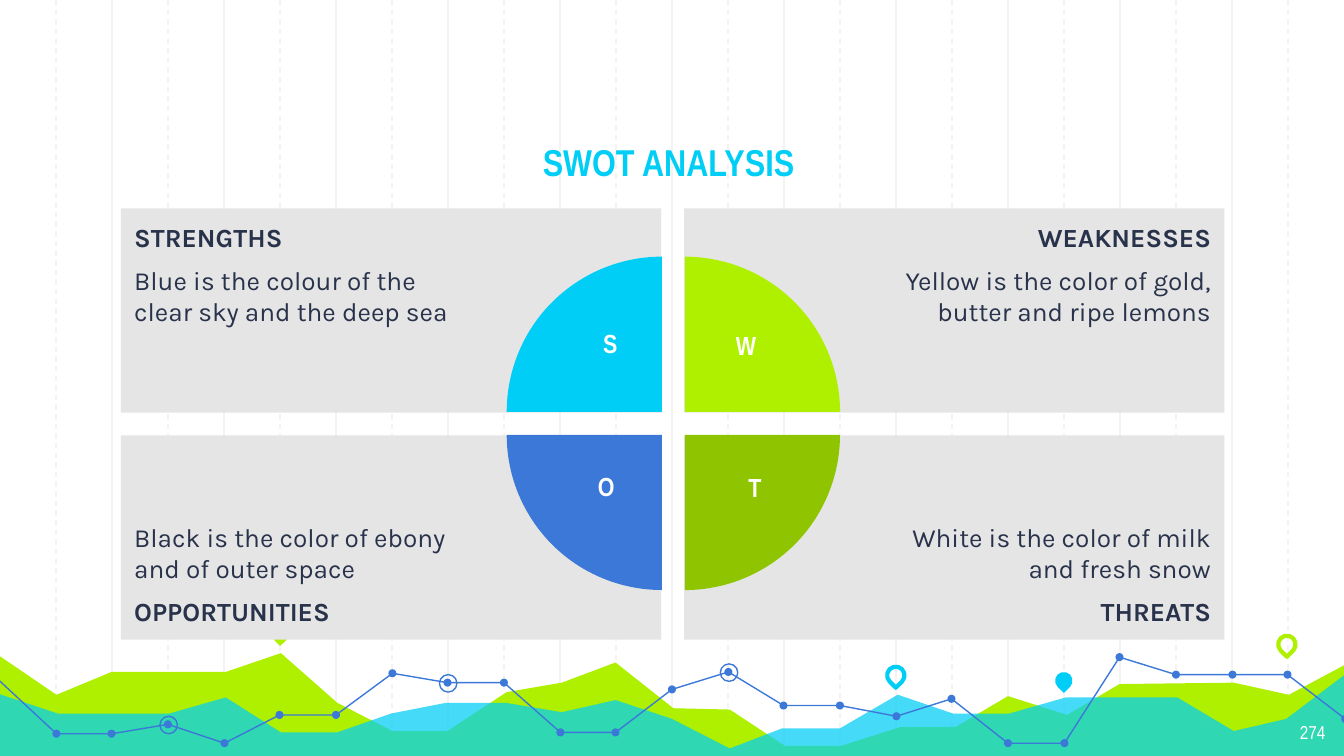
from lxml import etree
from pptx import Presentation
from pptx import util as u
from pptx.dml.color import RGBColor
from pptx.enum import dml, shapes, text
from pptx.oxml.ns import qn

theme = dict(cyan="00CEF6", lime="AFF000", olive="8EC400", blue="3C78D8", panel="E5E5E5",
             grid="F3F3F3", ink="28324A", white="FFFFFF", head="Arial Narrow", body="Karla",
             title=20, copy=14, page=10)
wide = 10
high = wide * 9 / 16

title = "SWOT ANALYSIS"
page = "274"
panels = [
    (0, 0, ["STRENGTHS", "Blue is the colour of the clear sky and the deep sea"]),
    (1, 0, ["WEAKNESSES", "Yellow is the color of gold, butter and ripe lemons"]),
    (0, 1, ["Black is the color of ebony and of outer space", "OPPORTUNITIES"]),
    (1, 1, ["White is the color of milk and fresh snow", "THREATS"]),
]
pies = [(0, 0, 0, "cyan"), (1, 0, 90, "lime"), (1, 1, 180, "olive"), (0, 1, 270, "blue")]
letters = [("S", 4.39, 2.39, 0.26), ("W", 5.36, 2.4, 0.38),
           ("O", 4.35, 3.45, 0.29), ("T", 5.47, 3.46, 0.25)]

back = [(-0.02, 4.87), (0.42, 5.17), (0.83, 5), (1.68, 5), (2.09, 4.86), (2.51, 5.23),
        (2.92, 5.44), (3.33, 5.44), (3.77, 5.15), (4.18, 5.08), (4.58, 4.93), (5.01, 5.27),
        (5.43, 5.28), (5.84, 5.55), (6.26, 5.55), (6.7, 5.41), (7.11, 5.41), (7.5, 5.18),
        (7.94, 5.32), (8.33, 5.09), (9.18, 5.08), (9.59, 5.17), (10.02, 4.94)]
front = [(-0.02, 5.16), (0.43, 5.31), (1.26, 5.31), (1.68, 5.19), (2.09, 5.45), (2.51, 5.45),
         (2.91, 5.31), (3.32, 5.23), (3.76, 5.23), (4.18, 5.3), (4.58, 5.21), (5, 5.35),
         (5.43, 5.57), (5.82, 5.42), (6.25, 5.42), (6.68, 5.17), (7.09, 5.31), (7.51, 5.31),
         (7.93, 5.19), (8.76, 5.19), (9.18, 5.44), (9.57, 5.35), (10.02, 5.01)]
trace = [(-0.01, 5.06), (0.42, 5.46), (0.83, 5.46), (1.25, 5.39), (1.67, 5.53), (2.08, 5.32),
         (2.5, 5.32), (2.92, 5.01), (3.33, 5.08), (3.75, 5.08), (4.17, 5.45), (4.58, 5.45),
         (5, 5.13), (5.42, 5), (5.83, 5.25), (6.25, 5.25), (6.67, 5.33), (7.08, 5.2),
         (7.5, 5.53), (7.92, 5.53), (8.33, 4.89), (8.75, 5.02), (9.17, 5.02), (9.58, 5.02),
         (10.01, 5.35)]
parts = [(0, 11), (11, 20), (20, 24)]
rings = [8, 3, 13]
pins = [(2.02, 4.65, "lime", True), (6.6, 4.96, "cyan", False),
        (7.85, 5, "cyan", True), (9.51, 4.73, "lime", False)]

deck = Presentation()
deck.slide_width, deck.slide_height = u.Inches(wide), u.Inches(high)
slide = deck.slides.add_slide(deck.slide_layouts[6])
kit = slide.shapes
form = shapes.MSO_SHAPE
side = text.PP_ALIGN
edge = text.MSO_ANCHOR


def tint(name):
    return RGBColor.from_string(theme[name])


def paint(shape, fill=None, line=None, width=0.75):
    shape.shadow.inherit = False
    if fill:
        shape.fill.solid()
        shape.fill.fore_color.rgb = tint(fill)
    else:
        shape.fill.background()
    if line:
        shape.line.color.rgb = tint(line)
        shape.line.width = u.Pt(width)
    else:
        shape.line.fill.background()
    return shape


def place(kind, x, y, w, h, **look):
    return paint(kit.add_shape(kind, *map(u.Inches, (x, y, w, h))), **look)


def trail(points, close, **look):
    spots = [(u.Inches(x), u.Inches(y)) for x, y in points]
    pen = kit.build_freeform(*spots[0])
    pen.add_line_segments(spots[1:], close=close)
    return paint(pen.convert_to_shape(), **look)


def style(para, align, face, size, color, bold):
    para.alignment = align
    for run in para.runs:
        font = run.font
        font.name, font.size, font.bold = theme[face], u.Pt(theme[size]), bold
        font.color.rgb = tint(color)


def pad(frame, left, top, right, low):
    frame.margin_left, frame.margin_top = u.Inches(left), u.Inches(top)
    frame.margin_right, frame.margin_bottom = u.Inches(right), u.Inches(low)


def label(words, x, y, w, h, align, size, color, bold):
    frame = kit.add_textbox(*map(u.Inches, (x, y, w, h))).text_frame
    frame.text = words
    style(frame.paragraphs[0], align, "head", size, color, bold)
    return frame


for i in range(1, 24):
    x = u.Inches(wide * i / 24)
    rule = kit.add_connector(shapes.MSO_CONNECTOR.STRAIGHT, x, 0, x, u.Inches(high))
    rule.line.color.rgb = tint("grid")
    rule.line.width = u.Pt(0.75)
    if i % 2:
        rule.line.dash_style = dml.MSO_LINE.DASH
    etree.SubElement(rule._element.spPr, qn("a:effectLst"))

base = [(10.02, 5.64), (-0.03, 5.64)]
trail(back + base, True, fill="lime")
veil = trail(front + base, True, fill="cyan")
color = veil._element.spPr.find(qn("a:solidFill"))[0]
etree.SubElement(color, qn("a:alpha"), val="73000")

for x, y, color, solid in pins:
    look = dict(fill=color) if solid else dict(line=color, width=2.25)
    pin = place(form.TEAR, x, y, 0.13, 0.13, **look)
    pin.adjustments[0] = 1
    pin.rotation = 135

for start, end in parts:
    trail(trace[start:end + 1], False, line="blue")
for x, y in trace[1:]:
    place(form.OVAL, x - 0.03, y - 0.03, 0.06, 0.06, fill="blue")
for i in rings:
    x, y = trace[i]
    place(form.OVAL, x - 0.06, y - 0.06, 0.13, 0.13, line="blue")

frame = label(title, 1.15, 0.69, 7.65, 0.78, side.CENTER, "title", "cyan", True)
frame.word_wrap = True
frame.vertical_anchor = edge.BOTTOM
pad(frame, 0.1, 0.1, 0.1, 0.1)
frame = label(page, 9.36, 5.28, 0.6, 0.35, side.RIGHT, "page", "white", False)
frame.word_wrap = True
pad(frame, 0.1, 0.1, 0.1, 0.1)

for col, row, lines in panels:
    box = place(form.RECTANGLE, 0.9 + 4.19 * col, 1.55 + 1.69 * row, 4.02, 1.52, fill="panel")
    frame = box.text_frame
    frame.word_wrap = True
    frame.vertical_anchor = edge.BOTTOM if row else edge.TOP
    pad(frame, 1.5 if col else 0.1, 0.1, 0.1 if col else 1.5, 0.1)
    frame.text = "\n".join(lines)
    for i, para in enumerate(frame.paragraphs):
        style(para, side.RIGHT if col else side.LEFT, "body", "copy", "ink", i == row)
    para.space_before = para.space_after = u.Pt(6)

for col, row, turn, color in pies:
    pie = place(form.PIE, 3.77 + 0.17 * col, 1.91 + 0.17 * row, 2.31, 2.31, fill=color)
    pie.adjustments[0], pie.adjustments[1] = 108, 162
    pie.rotation = turn

for sign, x, y, w in letters:
    label(sign, x, y, w, 0.49, side.CENTER, "copy", "white", True)

deck.save("out.pptx")
